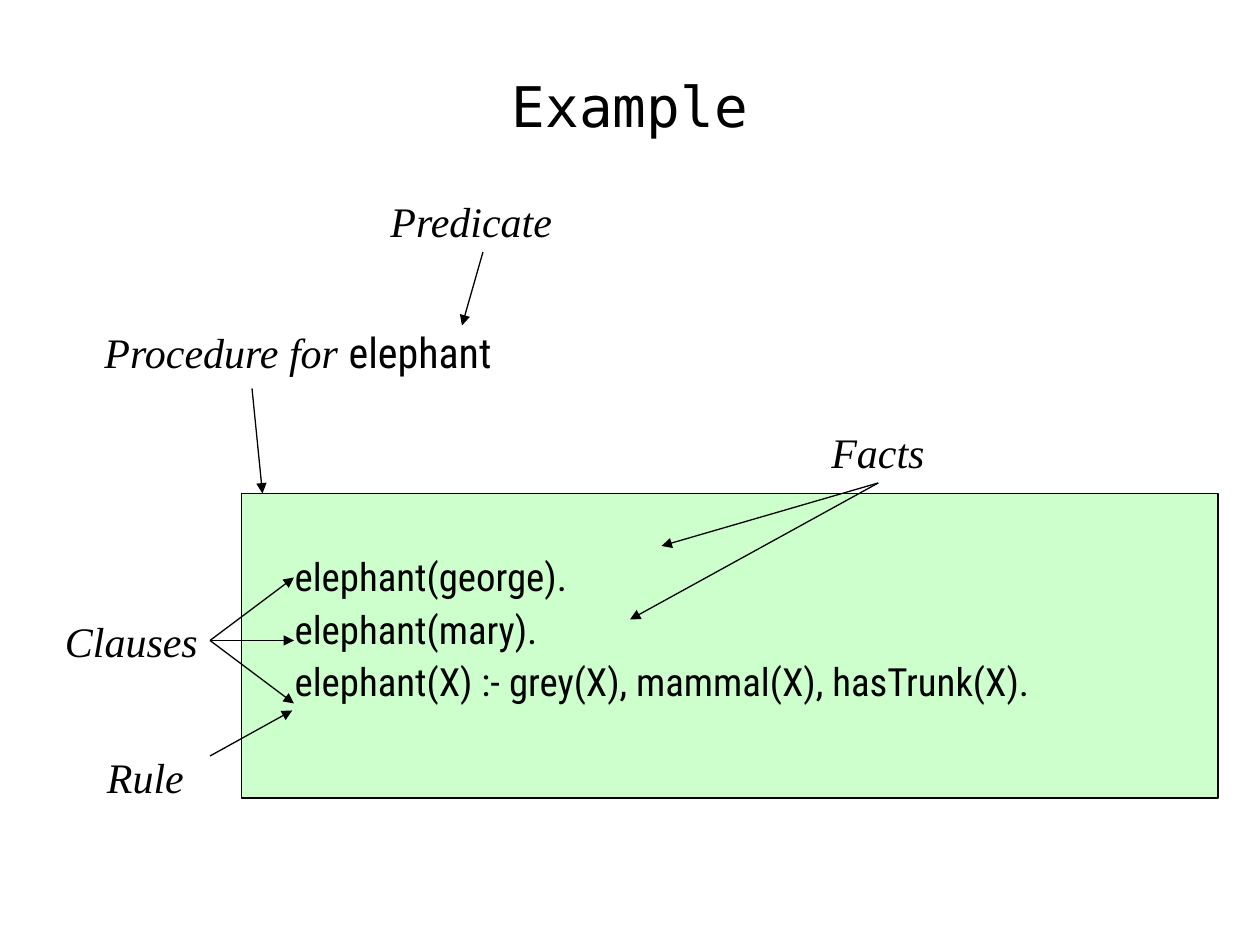
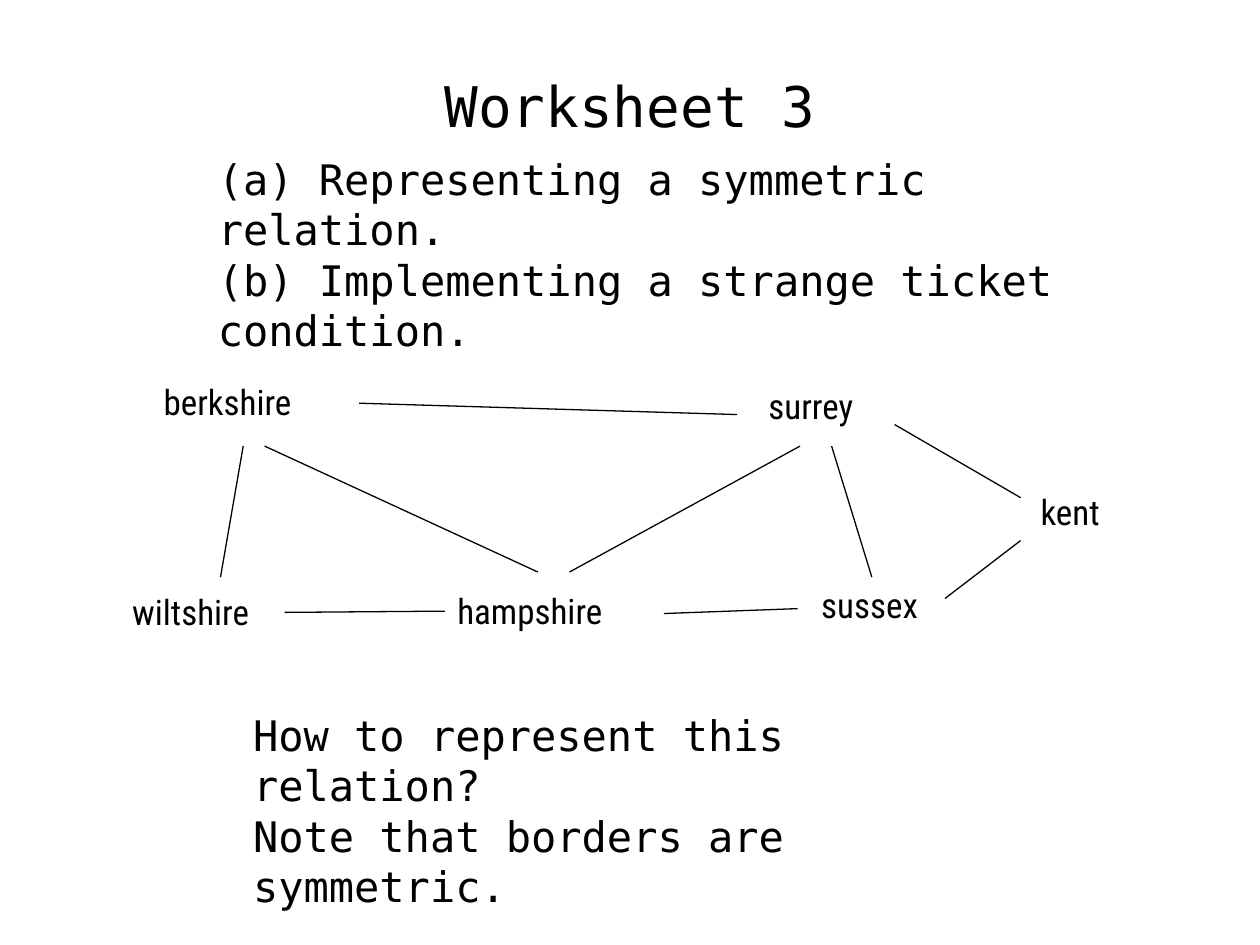
"""Build two slides on Prolog clauses and a symmetric border relation."""
import math

import lxml.etree
import pptx
import pptx.dml.color
import pptx.enum.shapes
import pptx.enum.text
import pptx.oxml.ns
import pptx.util

Pt = pptx.util.Pt
Rgb = pptx.dml.color.RGBColor.from_string
Align = pptx.enum.text.PP_ALIGN
Anchor = pptx.enum.text.MSO_ANCHOR
MONO, SANS, SERIF = "DejaVu Sans Mono", "Roboto Condensed", "Times New Roman"

THEME = {
    "ink": Rgb("000000"),
    "green": Rgb("CCFFCC"),
    "line": Pt(0.75),
    "near": 3,
    "fonts": {
        "title": {"name": MONO, "size": Pt(32)},
        "note": {"name": MONO, "size": Pt(24)},
        "code": {"name": SANS, "size": Pt(22.2)},
        "term": {"name": SERIF, "size": Pt(24), "italic": True},
        "name": {"name": SANS, "size": Pt(24), "italic": False},
        "place": {"name": SANS, "size": Pt(20)},
    },
    "frames": {
        "title": {"margin_right": Pt(7.2), "vertical_anchor": Anchor.MIDDLE},
    },
    "paras": {
        "title": {"alignment": Align.CENTER},
        "code": {"line_spacing": 0.9, "space_before": Pt(6)},
    },
}
FRAME = {"word_wrap": True, "margin_left": Pt(7.2), "margin_right": 0,
         "margin_top": Pt(3.6), "margin_bottom": Pt(3.6),
         "vertical_anchor": Anchor.TOP}

HEAD = (54, 24, 612, 72)
TERM, PLACE, NOTE = 36, 31.7, 64.8

SLIDES = [
    {
        "title": "Example",
        "panel": (138, 282, 558, 174),
        "texts": [
            ("code", (161.3, 315.4, 538.6, 130.3), [
                "elephant(george).",
                "elephant(mary).",
                "elephant(X) :- grey(X), mammal(X), hasTrunk(X).",
            ]),
            ("term", (52.6, 182.9, 255.6, TERM),
             [[("term", "Procedure for "), ("name", "elephant")]]),
            ("term", (216, 108, 107.3, TERM), ["Predicate"]),
            ("term", (30, 348, 90, TERM), ["Clauses"]),
            ("term", (54, 426, 58.3, TERM), ["Rule"]),
            ("term", (468, 240, 67.7, TERM), ["Facts"]),
        ],
        "arrow": True,
        "lines": [
            ((144, 222), [(150, 282)]),
            ((276, 144), [(264, 186)]),
            ((120, 366), [(168, 330), (168, 366), (168, 402)]),
            ((120, 432), [(167, 406)]),
            ((504, 276), [(378, 312), (360, 354)]),
        ],
    },
    {
        "title": "Worksheet 3",
        "texts": [
            ("place", (86.4, 213.8, 103.7, PLACE), ["berkshire"]),
            ("place", (68.4, 334.1, 94.3, PLACE), ["wiltshire"]),
            ("place", (432, 216, 97.9, PLACE), ["surrey"]),
            ("place", (254.2, 333.4, 115.9, PLACE), ["hampshire"]),
            ("place", (462.2, 329.8, 90, PLACE), ["sussex"]),
            ("place", (587.5, 276.5, 56.2, PLACE), ["kent"]),
            ("note", (137.5, 401.8, 390.2, NOTE), [
                "How to represent this relation?",
                "Note that borders are symmetric.",
            ]),
            ("note", (117.4, 84.2, 509, NOTE), [
                "(a) Representing a symmetric relation.",
                "(b) Implementing a strange ticket condition.",
            ]),
        ],
        "arrow": False,
        "lines": [
            ((205.2, 230.4), [(421.2, 236.9)]),
            ((139, 254.9), [(126, 329.8)]),
            ((151.2, 254.9), [(307.4, 326.9)]),
            ((162, 347.8), [(253.4, 350.6)]),
            ((379.4, 350.6), [(455.8, 347.8)]),
            ((325.4, 326.9), [(457.2, 254.9)]),
            ((475.2, 254.9), [(498.2, 329.8)]),
            ((540, 342), [(583.2, 308.9)]),
            ((511.2, 242.6), [(583.2, 284.4)]),
        ],
    },
]


def apply(item, values):
    for key, value in values.items():
        setattr(item, key, value)


def scale(nums):
    return [Pt(num) for num in nums]


def add_text(slide, style, area, paras):
    box = slide.shapes.add_textbox(*scale(area))
    frame = box.text_frame
    apply(frame, FRAME | THEME["frames"].get(style, {}))
    for num, content in enumerate(paras):
        para = frame.add_paragraph() if num else frame.paragraphs[0]
        apply(para, THEME["paras"].get(style, {}))
        if num == 0:
            para.space_before = Pt(0)
        runs = [(style, content)] if isinstance(content, str) else content
        for kind, text in runs:
            run = para.add_run()
            run.text = text
            apply(run.font, THEME["fonts"][kind])
            run.font.color.rgb = THEME["ink"]
    return box


def add_panel(slide, area):
    kind = pptx.enum.shapes.MSO_SHAPE.RECTANGLE
    panel = slide.shapes.add_shape(kind, *scale(area))
    panel.shadow.inherit = False
    panel.fill.solid()
    panel.fill.fore_color.rgb = THEME["green"]
    panel.line.color.rgb = THEME["ink"]
    panel.line.width = THEME["line"]


def join(link, point, boxes):
    for box, (left, top, wide, high) in boxes:
        mid, half = left + wide / 2, top + high / 2
        sides = [(mid, top), (left, half), (mid, top + high), (left + wide, half)]
        for side, spot in enumerate(sides):
            if math.dist(point, spot) <= THEME["near"]:
                link(box, side)
                return


def add_line(slide, start, end, boxes, arrow):
    kind = pptx.enum.shapes.MSO_CONNECTOR.STRAIGHT
    line = slide.shapes.add_connector(kind, *scale(start + end))
    line.line.color.rgb = THEME["ink"]
    line.line.width = THEME["line"]
    join(line.begin_connect, start, boxes)
    join(line.end_connect, end, boxes)
    qn = pptx.oxml.ns.qn
    props = line._element.spPr
    if arrow:
        lxml.etree.SubElement(props.find(qn("a:ln")), qn("a:tailEnd"), type="triangle")
    lxml.etree.SubElement(props, qn("a:effectLst"))


def add_slide(deck, data):
    slide = deck.slides.add_slide(deck.slide_layouts[6])
    if "panel" in data:
        add_panel(slide, data["panel"])
    add_text(slide, "title", HEAD, [data["title"]])
    boxes = [(add_text(slide, style, area, paras), area)
             for style, area, paras in data["texts"]]
    for start, ends in data["lines"]:
        for end in ends:
            add_line(slide, start, end, boxes, data["arrow"])


def main():
    deck = pptx.Presentation()
    apply(deck, {"slide_width": Pt(720), "slide_height": Pt(540)})
    for data in SLIDES:
        add_slide(deck, data)
    deck.save("out.pptx")


if __name__ == "__main__":
    main()
